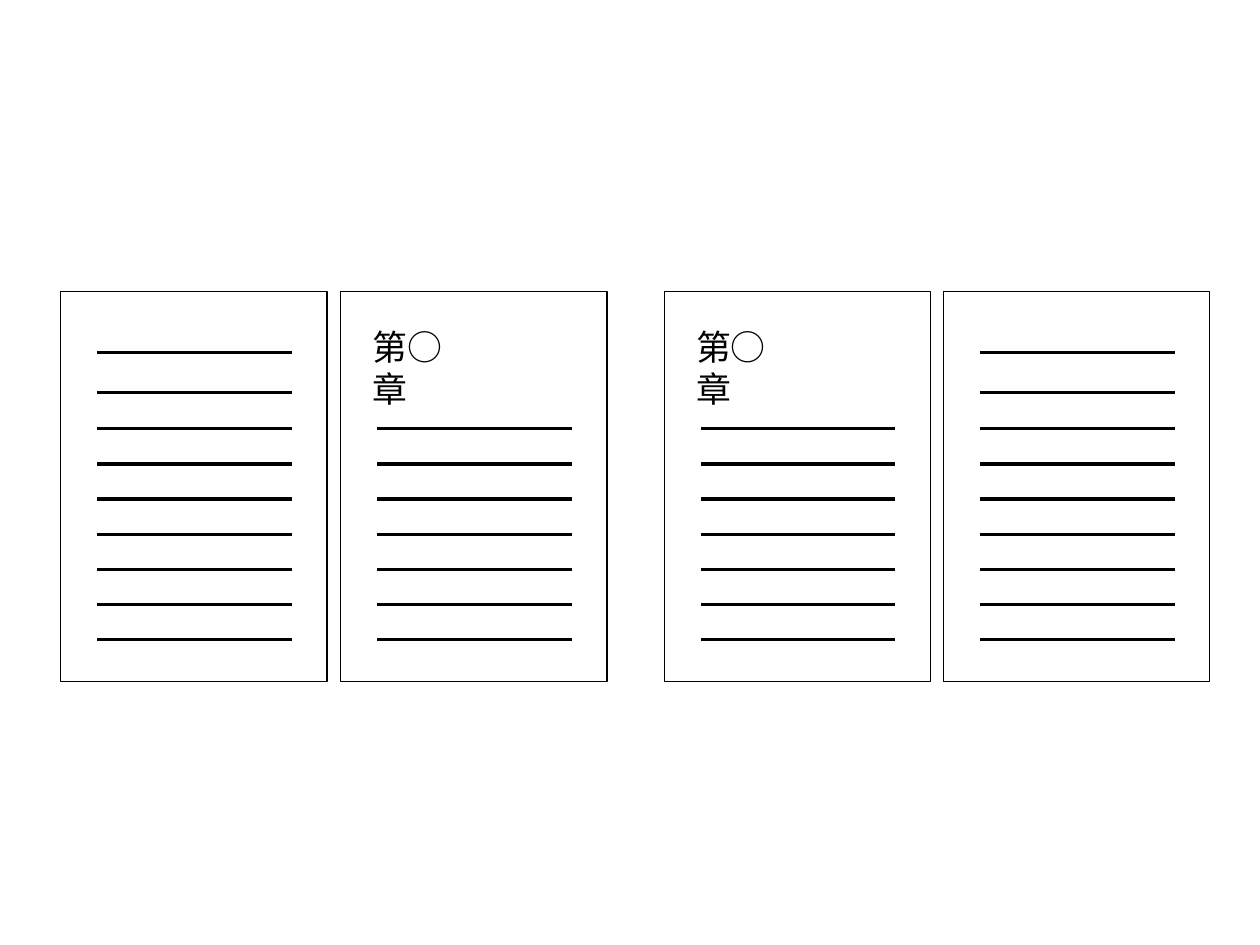
import pptx
import pptx.dml.color
import pptx.enum.shapes
import pptx.enum.text
import pptx.oxml.ns
import pptx.util
from lxml import etree

Cm = pptx.util.Cm
BLACK = pptx.dml.color.RGBColor(0x00, 0x00, 0x00)
WHITE = pptx.dml.color.RGBColor(0xFF, 0xFF, 0xFF)
HAIRLINE = pptx.util.Pt(0)

PAGE_TOP, PAGE_WIDTH, PAGE_HEIGHT = Cm(6.48), Cm(5.92), Cm(8.66)
PAGES = [
    (Cm(1.35), None),
    (Cm(7.57), "第○章"),
    (Cm(14.76), "第○章"),
    (Cm(20.96), None),
]
RULE_INDENT, RULE_LENGTH = Cm(0.81), Cm(4.33)
HEADING_RULES = [Cm(1.35), Cm(2.24)]
BODY_RULES = [Cm(3.05) + index * Cm(0.78) for index in range(7)]


def add_text(shapes, text, left, top, width, height, size=22, font="Arial", color=BLACK):
    """Add a one-line text box in the given format."""
    box = shapes.add_textbox(left, top, width, height)
    frame = box.text_frame
    frame.word_wrap = False
    frame.auto_size = pptx.enum.text.MSO_AUTO_SIZE.SHAPE_TO_FIT_TEXT
    run = frame.paragraphs[0].add_run()
    run.text = text
    run.font.name = font
    run.font.size = pptx.util.Pt(size)
    run.font.color.rgb = color


def add_rule(shapes, left, top, length):
    """Add a horizontal writing line."""
    rule = shapes.add_connector(
        pptx.enum.shapes.MSO_CONNECTOR.STRAIGHT, left, top, left + length, top
    )
    rule.line.color.rgb = BLACK
    rule.line.width = HAIRLINE
    etree.SubElement(rule._element.spPr, pptx.oxml.ns.qn("a:effectLst"))


def add_page(slide, left, top, width, height, chapter=None):
    """Add a grouped book page, with a chapter title or two more rules at its head."""
    shapes = slide.shapes.add_group_shape().shapes
    sheet = shapes.add_shape(
        pptx.enum.shapes.MSO_SHAPE.RECTANGLE, left, top, width, height
    )
    sheet.shadow.inherit = False
    sheet.fill.solid()
    sheet.fill.fore_color.rgb = WHITE
    sheet.line.color.rgb = BLACK
    sheet.line.width = HAIRLINE
    if chapter:
        add_text(shapes, chapter, left + Cm(0.46), top + Cm(0.64), Cm(2.82), Cm(1.37))
    offsets = BODY_RULES if chapter else HEADING_RULES + BODY_RULES
    for offset in offsets:
        add_rule(shapes, left + RULE_INDENT, top + offset, RULE_LENGTH)


def main():
    """Build the slide with its four book pages and save it."""
    presentation = pptx.Presentation()
    presentation.slide_width = Cm(28)
    presentation.slide_height = Cm(21)
    slide = presentation.slides.add_slide(presentation.slide_layouts[6])
    for left, chapter in PAGES:
        add_page(slide, left, PAGE_TOP, PAGE_WIDTH, PAGE_HEIGHT, chapter)
    presentation.save("out.pptx")


if __name__ == "__main__":
    main()
